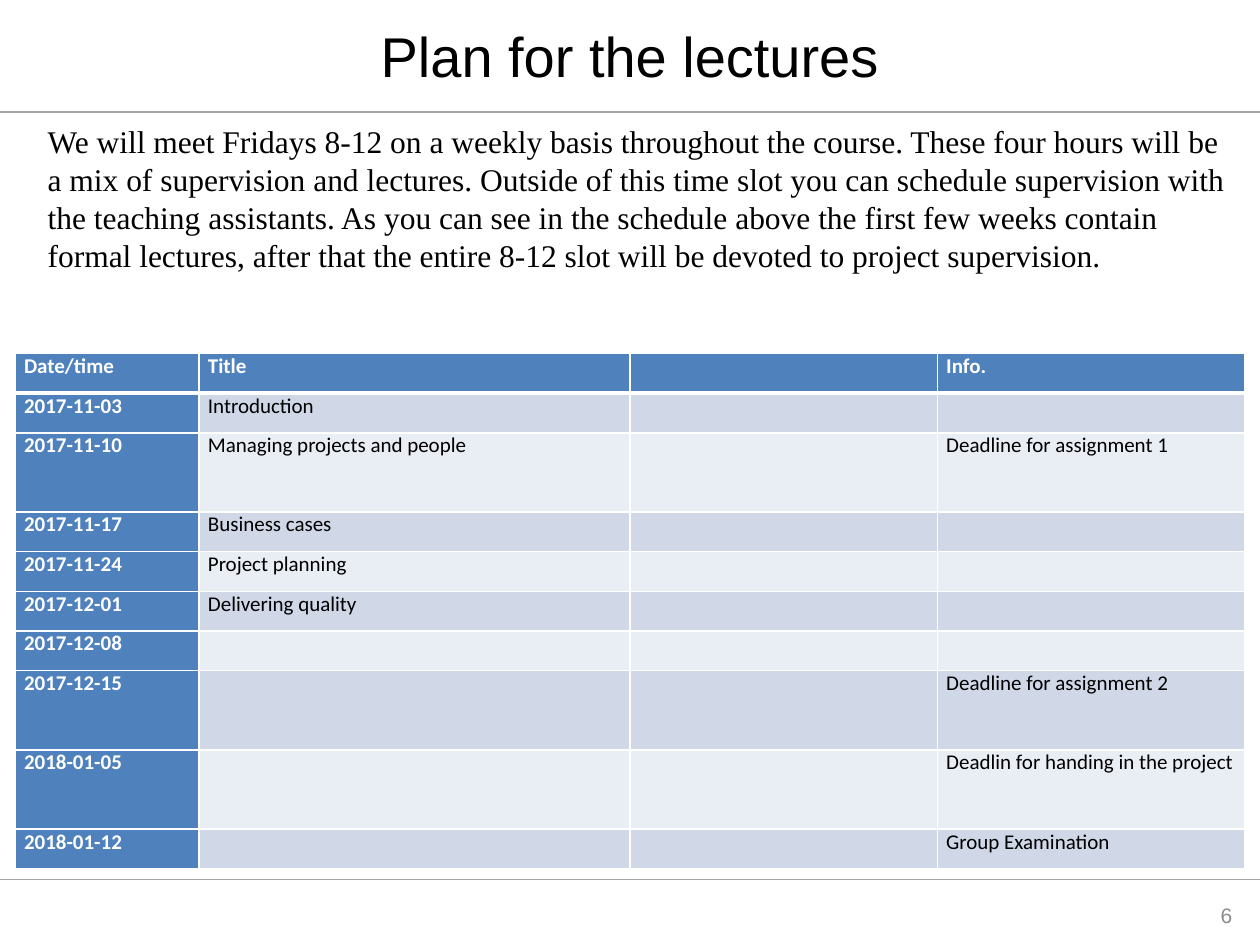
"""Build the lecture plan slide with its intro text and schedule table."""
from dataclasses import dataclass

from lxml import etree
from pptx import Presentation
from pptx import util as u
from pptx.dml.color import RGBColor
from pptx.enum import shapes, text
from pptx.oxml import ns

Pt = u.Pt
BLACK = RGBColor(0x00, 0x00, 0x00)
WHITE = RGBColor(0xFF, 0xFF, 0xFF)
RULE = RGBColor(0xA6, 0xA6, 0xA6)
NUMBER = RGBColor(0x8C, 0x8C, 0x8C)
BLUE = RGBColor(0x4F, 0x81, 0xBD)
BAND_DARK = RGBColor(0xD0, 0xD8, 0xE8)
BAND_LIGHT = RGBColor(0xE9, 0xED, 0xF4)

INTRO = (
    "We will meet Fridays 8-12 on a weekly basis throughout the course. "
    "These four hours will be a mix of supervision and lectures. "
    "Outside of this time slot you can schedule supervision with the teaching assistants. "
    "As you can see in the schedule above the first few weeks contain formal lectures, "
    "after that the entire 8-12 slot will be devoted to project supervision."
)
COLUMN_WIDTHS = (105.1, 246.2, 175.7, 175.7)
ROW_HEIGHT = 22.65


@dataclass
class Box:
    left: float
    top: float
    width: float
    height: float


@dataclass
class Style:
    name: str
    size: float
    color: RGBColor
    bold: bool = False


@dataclass
class Lecture:
    date: str
    title: str = ""
    info: str = ""
    units: int = 1


LECTURES = [
    Lecture("Date/time", "Title", "Info."),
    Lecture("2017-11-03", "Introduction"),
    Lecture("2017-11-10", "Managing projects and people", "Deadline for assignment 1", 2),
    Lecture("2017-11-17", "Business cases"),
    Lecture("2017-11-24", "Project planning"),
    Lecture("2017-12-01", "Delivering quality"),
    Lecture("2017-12-08"),
    Lecture("2017-12-15", info="Deadline for assignment 2", units=2),
    Lecture("2018-01-05", info="Deadlin for handing in the project", units=2),
    Lecture("2018-01-12", info="Group Examination"),
]
HEADING = Style("Calibri", 12, WHITE, True)
ENTRY = Style("Calibri", 12, BLACK)


def set_all(obj, values: dict) -> None:
    """Set each named attribute on the object."""
    for name, value in values.items():
        setattr(obj, name, value)


def write(tf, content: str, style: Style, align=text.PP_ALIGN.LEFT) -> None:
    """Write one styled paragraph."""
    p = tf.paragraphs[0]
    set_all(p, {"alignment": align, "space_before": Pt(0)})
    r = p.add_run()
    r.text = content
    set_all(r.font, {"name": style.name, "size": Pt(style.size), "bold": style.bold})
    r.font.color.rgb = style.color


def place(sp, box: Box, anchor) -> None:
    """Move a text shape and set its frame."""
    for name in ("left", "top", "width", "height"):
        setattr(sp, name, Pt(getattr(box, name)))
    set_all(sp.text_frame, {"word_wrap": True, "vertical_anchor": anchor,
                            "auto_size": text.MSO_AUTO_SIZE.NONE})


def add_rule(s, top: float) -> None:
    """Draw a thin line across the slide."""
    line = s.shapes.add_connector(shapes.MSO_CONNECTOR.STRAIGHT, 0, Pt(top), Pt(720), Pt(top))
    line.line.color.rgb = RULE
    line.line.width = Pt(0.75)
    etree.SubElement(line.element.spPr, ns.qn("a:effectLst"))


def add_borders(cell, top: float, bottom: float) -> None:
    """Give a cell white borders."""
    props = cell._tc.get_or_add_tcPr()
    for side, width in (("L", 1), ("R", 1), ("T", top), ("B", bottom)):
        ln = etree.SubElement(props, ns.qn(f"a:ln{side}"), w=str(Pt(width)))
        fill = etree.SubElement(ln, ns.qn("a:solidFill"))
        etree.SubElement(fill, ns.qn("a:srgbClr"), val=str(WHITE))


def add_schedule(s, left: float, top: float) -> None:
    """Draw the lecture table."""
    height = ROW_HEIGHT * sum(lecture.units for lecture in LECTURES)
    table = s.shapes.add_table(len(LECTURES), len(COLUMN_WIDTHS), Pt(left), Pt(top),
                               Pt(sum(COLUMN_WIDTHS)), Pt(height)).table
    for column, width in zip(table.columns, COLUMN_WIDTHS):
        column.width = Pt(width)
    for i, lecture in enumerate(LECTURES):
        table.rows[i].height = Pt(ROW_HEIGHT * lecture.units)
        band = BAND_DARK if i % 2 else BAND_LIGHT
        for j, content in enumerate((lecture.date, lecture.title, "", lecture.info)):
            cell = table.cell(i, j)
            heading = i == 0 or j == 0
            set_all(cell, {"margin_left": Pt(5), "margin_right": Pt(5),
                           "margin_top": 0, "margin_bottom": 0})
            add_borders(cell, 3 if i == 1 else 1, 3 if i == 0 else 1)
            cell.fill.solid()
            cell.fill.fore_color.rgb = BLUE if heading else band
            if content:
                write(cell.text_frame, content, HEADING if heading else ENTRY)


def main() -> None:
    """Build and save the slide."""
    prs = Presentation()
    set_all(prs, {"slide_width": Pt(720), "slide_height": Pt(540)})
    s = prs.slides.add_slide(prs.slide_layouts[1])
    for top in (502.6, 64):
        add_rule(s, top)

    title, body = s.shapes.title, s.placeholders[1]
    place(title, Box(36, 3.6, 648, 55.4), text.MSO_ANCHOR.MIDDLE)
    write(title.text_frame, "Plan for the lectures", Style("Arial", 32, BLACK),
          text.PP_ALIGN.CENTER)

    place(body, Box(20, 66.2, 692, 94.3), text.MSO_ANCHOR.TOP)
    write(body.text_frame, INTRO, Style("Times New Roman", 18, BLACK))
    props = body.text_frame.paragraphs[0]._p.get_or_add_pPr()
    for name in ("marL", "indent"):
        props.set(name, "0")
    etree.SubElement(props, ns.qn("a:buNone"))

    add_schedule(s, 8.75, 202)

    number = s.shapes.add_textbox(0, 0, 0, 0)
    place(number, Box(645, 508.5, 66.3, 28.8), text.MSO_ANCHOR.MIDDLE)
    write(number.text_frame, "6", Style("Arial", 12, NUMBER), text.PP_ALIGN.RIGHT)
    prs.save("out.pptx")


if __name__ == "__main__":
    main()
